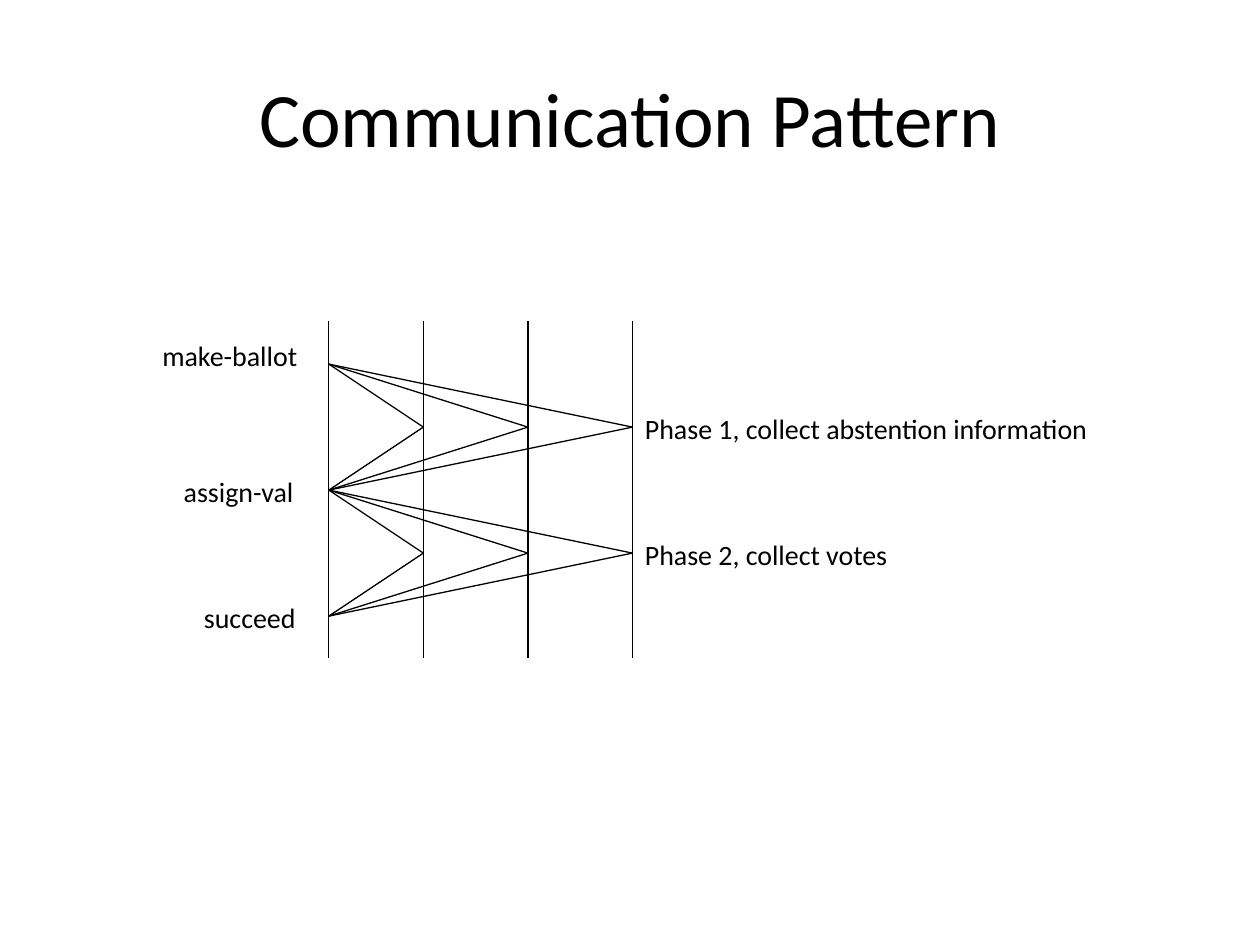
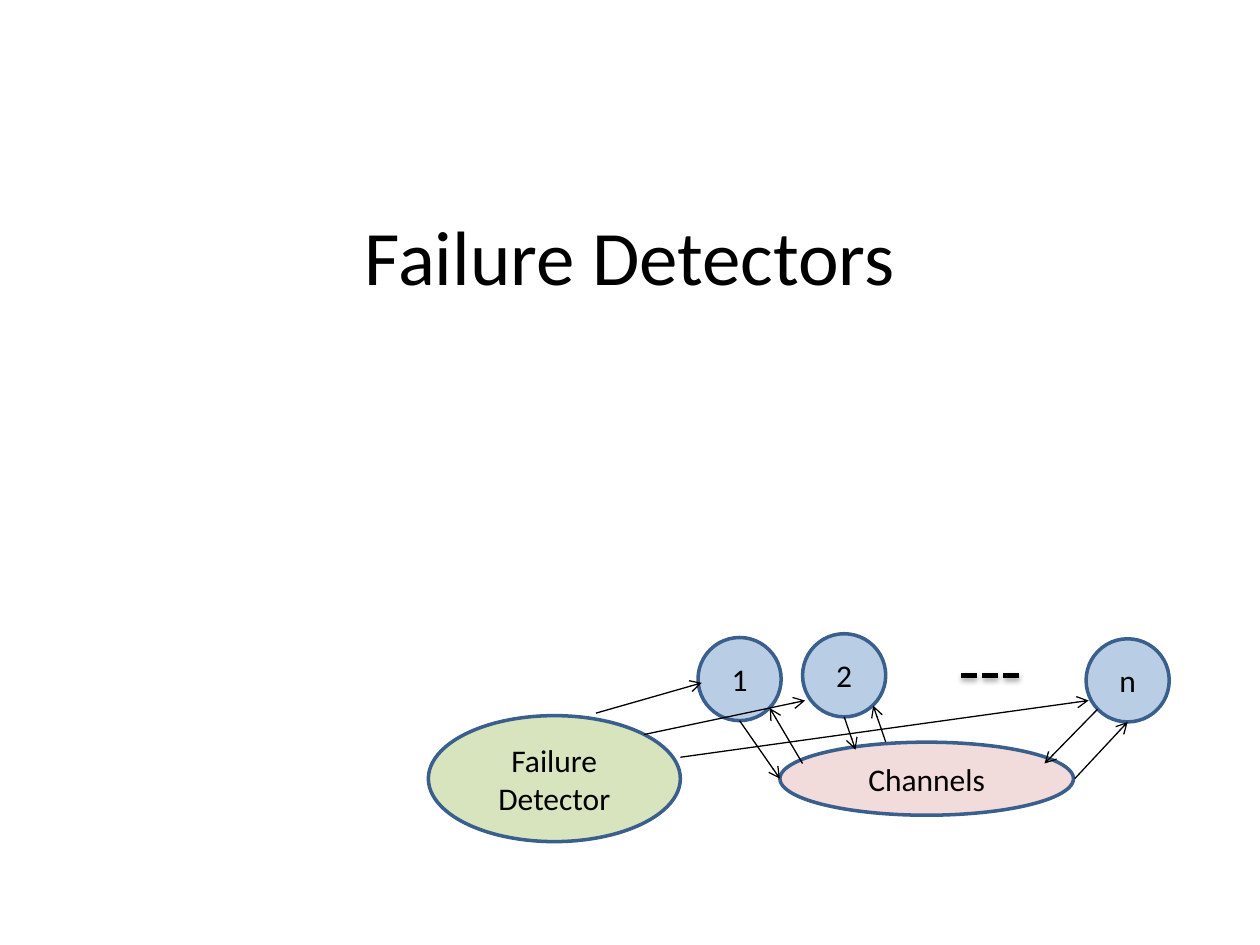
"""Build two slides: a ballot communication pattern and failure detectors."""
from lxml import etree
from pptx import Presentation
from pptx.dml.color import RGBColor
from pptx.enum.dml import MSO_LINE
from pptx.enum.shapes import MSO_CONNECTOR, MSO_SHAPE
from pptx.enum.text import MSO_ANCHOR, MSO_AUTO_SIZE, PP_ALIGN
from pptx.oxml import parse_xml
from pptx.oxml.ns import nsdecls, qn
from pptx.util import Inches, Pt

STRAIGHT = MSO_CONNECTOR.STRAIGHT
ELLIPSE = MSO_SHAPE.OVAL
DASH = MSO_LINE.SQUARE_DOT
MIDDLE = MSO_ANCHOR.MIDDLE
GROW = MSO_AUTO_SIZE.SHAPE_TO_FIT_TEXT
LEFT, CENTER = PP_ALIGN.LEFT, PP_ALIGN.CENTER

BLACK = RGBColor(0x00, 0x00, 0x00)
OUTLINE = RGBColor(0x3A, 0x5F, 0x8C)
PROCESS_BLUE = RGBColor(0xB9, 0xCD, 0xE5)
CHANNEL_PINK = RGBColor(0xF2, 0xDC, 0xDB)
DETECTOR_GREEN = RGBColor(0xD7, 0xE4, 0xBD)
FONT = "Calibri"


def write_text(shape, text, size, alignment):
    """Put text in a shape and format every run."""
    shape.text_frame.text = text
    for para in shape.text_frame.paragraphs:
        para.alignment = alignment
        for span in para.runs:
            span.font.name = FONT
            span.font.size = Pt(size)
            span.font.color.rgb = BLACK


def add_line(page, start, end, arrow=False):
    """Draw a thin black line without shadow, optionally with an arrowhead."""
    points = [Inches(value) for value in (*start, *end)]
    line = page.shapes.add_connector(STRAIGHT, *points)
    line.line.color.rgb = BLACK
    line.line.width = Pt(0.75)
    if arrow:
        etree.SubElement(line.line._get_or_add_ln(), qn("a:tailEnd"), type="arrow")
    etree.SubElement(line._element.spPr, qn("a:effectLst"))
    return line


deck = Presentation()
deck.slide_width, deck.slide_height = Inches(10), Inches(7.5)

pages = []
for heading, height in [("Communication Pattern", 1.25), ("Failure Detectors", 3.45)]:
    page = deck.slides.add_slide(deck.slide_layouts.get_by_name("Title Only"))
    title = page.shapes.title
    title.left, title.top = Inches(0.5), Inches(0.3)
    title.width, title.height = Inches(9), Inches(height)
    title.text_frame.vertical_anchor = MIDDLE
    write_text(title, heading, 44, CENTER)
    pages.append(page)
pattern_page, detector_page = pages

leader_x = 2.61
follower_xs = [3.36, 4.19, 5.02]
for x in [leader_x, *follower_xs]:
    add_line(pattern_page, (x, 2.55), (x, 5.22))
for phase_y in [2.89, 3.89]:
    for x in follower_xs:
        add_line(pattern_page, (leader_x, phase_y), (x, phase_y + 0.5))
        add_line(pattern_page, (x, phase_y + 0.5), (leader_x, phase_y + 1))

for label, left, top, width in [
    ("make-ballot", 1.19, 2.64, 1.35),
    ("assign-val", 1.36, 3.72, 1.2),
    ("succeed", 1.52, 4.72, 1.03),
    ("Phase 1, collect abstention information", 5.02, 3.22, 4.02),
    ("Phase 2, collect votes", 5.02, 4.22, 2.36),
]:
    box = pattern_page.shapes.add_textbox(
        Inches(left), Inches(top), Inches(width), Inches(0.37))
    box.text_frame.word_wrap = False
    box.text_frame.auto_size = GROW
    write_text(box, label, 16, LEFT)

for label, left, top, width, height, fill in [
    ("1", 5.54, 5.06, 0.66, 0.66, PROCESS_BLUE),
    ("2", 6.37, 5.03, 0.66, 0.66, PROCESS_BLUE),
    ("n", 8.62, 5.07, 0.66, 0.66, PROCESS_BLUE),
    ("Channels", 6.19, 5.89, 2.33, 0.58, CHANNEL_PINK),
    ("Failure\nDetector", 3.4, 5.68, 2, 1, DETECTOR_GREEN),
]:
    node = detector_page.shapes.add_shape(
        ELLIPSE, Inches(left), Inches(top), Inches(width), Inches(height))
    node.shadow.inherit = False
    node.fill.solid()
    node.fill.fore_color.rgb = fill
    node.line.color.rgb = OUTLINE
    node.line.width = Pt(2)
    node.text_frame.vertical_anchor = MIDDLE
    write_text(node, label, 18, CENTER)

channel_arrows = [
    ((5.87, 5.72), (6.19, 6.18)),
    ((6.37, 6.06), (6.11, 5.62)),
    ((6.7, 5.69), (6.79, 5.95)),
    ((7.03, 5.89), (6.93, 5.6)),
    ((8.71, 5.63), (8.29, 6.06)),
    ((8.53, 6.18), (8.95, 5.73)),
]
detector_arrows = [
    ((4.73, 5.66), (5.57, 5.42)),
    ((5.11, 5.83), (6.39, 5.56)),
    ((5.4, 6.01), (8.64, 5.56)),
]
for start, end in channel_arrows + detector_arrows:
    add_line(detector_page, start, end, arrow=True)

ellipsis = add_line(detector_page, (7.63, 5.36), (8.13, 5.36))
ellipsis.line.width = Pt(3)
ellipsis.line.dash_style = DASH
ellipsis._element.spPr.find(qn("a:effectLst")).append(parse_xml(
    f'<a:outerShdw {nsdecls("a")} blurRad="{Pt(3.1)}" dist="{Pt(1.8)}" dir="5400000" '
    'rotWithShape="0"><a:srgbClr val="000000"><a:alpha val="35000"/></a:srgbClr>'
    '</a:outerShdw>'))

deck.save("out.pptx")
